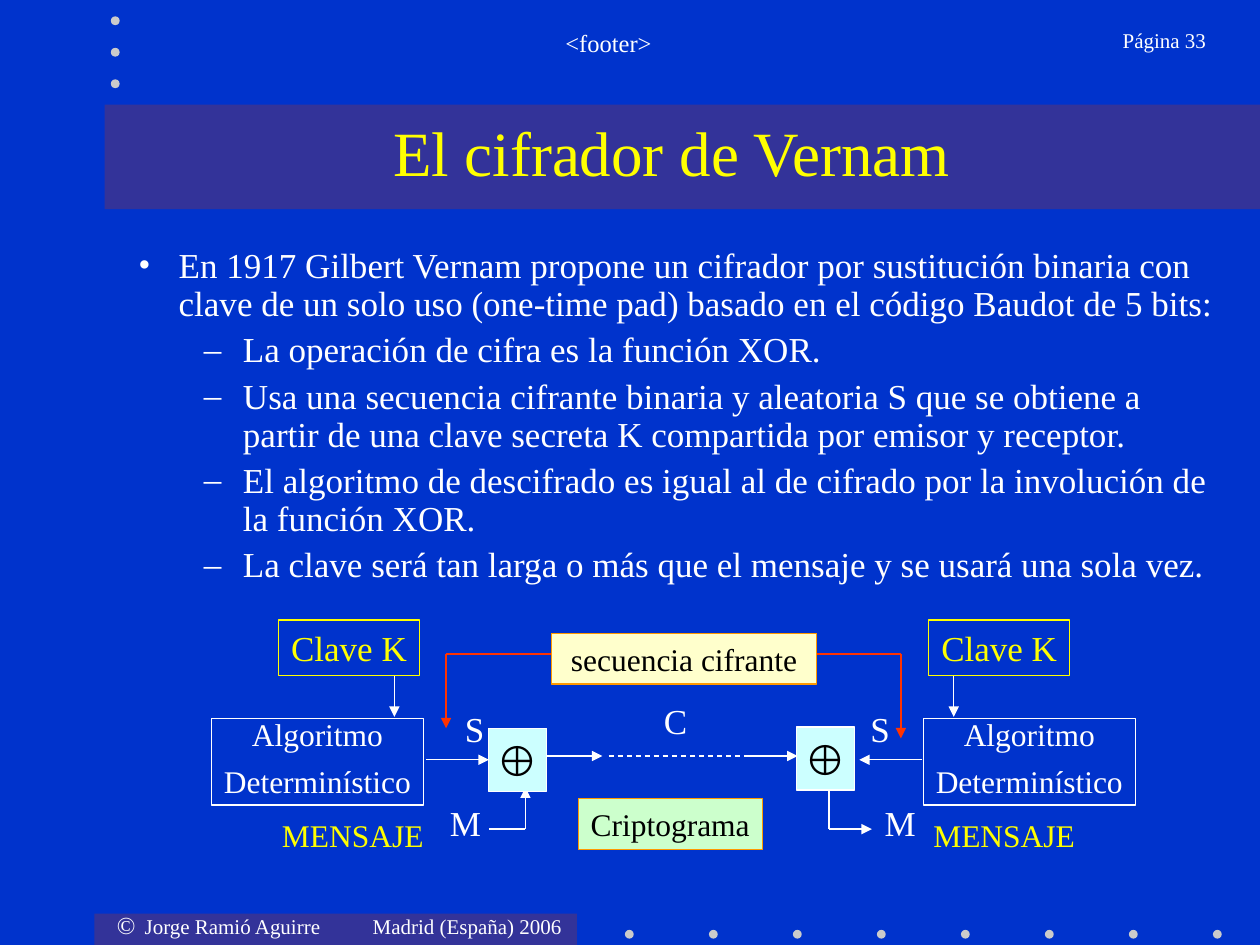
from dataclasses import dataclass

from lxml.etree import SubElement
from pptx import Presentation
from pptx.dml.color import RGBColor
from pptx.enum.dml import MSO_LINE
from pptx.enum.shapes import MSO_CONNECTOR, MSO_SHAPE
from pptx.enum.text import MSO_ANCHOR, PP_ALIGN
from pptx.oxml.ns import qn
from pptx.util import Inches, Pt


@dataclass(frozen=True)
class Theme:
    """Colours, fonts and type sizes of the slide."""
    back: str = "0033CC"
    band: str = "333399"
    dot: str = "CBCBCB"
    white: str = "FFFFFF"
    black: str = "000000"
    yellow: str = "FFFF00"
    orange: str = "FF9900"
    red: str = "FF3300"
    cream: str = "FFFFCC"
    mint: str = "CCFFCC"
    ice: str = "CCFFFF"
    serif: str = "Times New Roman"
    sans: str = "Arial"
    title: int = 36
    sign: int = 24
    body: int = 20
    label: int = 18
    foot: int = 14
    small: int = 12
    line: float = 0.75


THEME = Theme()
WIDE, HIGH = Inches(10), Inches(7.5)
COLS, ROWS = 100, 75

LEAD = ("En 1917 Gilbert Vernam propone un cifrador por sustitución binaria con "
        "clave de un solo uso (one-time pad) basado en el código Baudot de 5 bits:")
POINTS = [
    "La operación de cifra es la función XOR.",
    "Usa una secuencia cifrante binaria y aleatoria S que se obtiene a "
    "partir de una clave secreta K compartida por emisor y receptor.",
    "El algoritmo de descifrado es igual al de cifrado por la involución de la función XOR.",
    "La clave será tan larga o más que el mensaje y se usará una sola vez.",
]


def col(n):
    """Return the length of n grid columns."""
    return round(WIDE * n / COLS)


def row(n):
    """Return the length of n grid rows."""
    return round(HIGH * n / ROWS)


def area(x, y, w, h):
    """Return a grid area as slide lengths."""
    return col(x), row(y), col(w), row(h)


def paint(part, color):
    """Give a fill or a line one solid colour."""
    fill = getattr(part, "fill", part)
    fill.solid()
    fill.fore_color.rgb = RGBColor.from_string(color)


def write(frame, text, size=THEME.body, color=THEME.white, font=THEME.serif,
          align=PP_ALIGN.CENTER, anchor=MSO_ANCHOR.MIDDLE, wrap=False,
          lead=None, gap=0):
    """Write lines of text into a frame and return its paragraphs."""
    frame.word_wrap, frame.vertical_anchor = wrap, anchor
    for n, line in enumerate(text.split("\n")):
        para = frame.add_paragraph() if n else frame.paragraphs[0]
        para.alignment = align
        para.space_before = Pt(gap if n else 0)
        if lead:
            para.line_spacing = lead
        run = para.add_run()
        run.text = line
        run.font.size, run.font.name = Pt(size), font
        run.font.color.rgb = RGBColor.from_string(color)
    return frame.paragraphs


def note(slide, spot, text, **form):
    """Add a text box."""
    return write(slide.shapes.add_textbox(*area(*spot)).text_frame, text, **form)


def block(slide, spot, fill=None, edge=None, kind=MSO_SHAPE.RECTANGLE, text=None, **form):
    """Add a preset shape, with text if given."""
    shape = slide.shapes.add_shape(kind, *area(*spot))
    shape.shadow.inherit = False
    if fill:
        paint(shape, fill)
    else:
        shape.fill.background()
    if edge:
        paint(shape.line, edge)
        shape.line.width = Pt(THEME.line)
    else:
        shape.line.fill.background()
    if text:
        write(shape.text_frame, text, **form)


def wire(slide, *stops, color=THEME.white, arrow=True, dash=False):
    """Join grid points with straight lines, the last with an arrowhead."""
    for start, end in zip(stops, stops[1:]):
        line = slide.shapes.add_connector(
            MSO_CONNECTOR.STRAIGHT, col(start[0]), row(start[1]), col(end[0]), row(end[1]))
        paint(line.line, color)
        line.line.width = Pt(THEME.line)
        if dash:
            line.line.dash_style = MSO_LINE.DASH
        if arrow and end == stops[-1]:
            SubElement(line.line._get_or_add_ln(), qn("a:tailEnd"), type="triangle")
        SubElement(line._element.spPr, qn("a:effectLst"))


def mark(para, char, left, hang):
    """Give a paragraph a bullet and a hanging indent."""
    props = para._p.get_or_add_pPr()
    props.set("marL", str(col(left)))
    props.set("indent", str(-col(hang)))
    SubElement(props, qn("a:buFont"), typeface=THEME.serif)
    SubElement(props, qn("a:buChar"), char=char)


def frame(slide):
    """Draw the bands, the dots and the page texts."""
    paint(slide.background, THEME.back)
    for spot in ((7.5, 72.5, 38.3, 2.5), (8.3, 8.3, 91.7, 8.3)):
        block(slide, spot, THEME.band)
    dots = [(49.6 + n * 20 / 3, 73.8) for n in range(8)]
    dots += [(8.8, 1.3 + n * 2.5) for n in range(3)]
    for x, y in dots:
        block(slide, (x, y, 0.7, 0.7), THEME.dot, kind=MSO_SHAPE.OVAL)
    top = dict(anchor=MSO_ANCHOR.TOP, wrap=True)
    note(slide, (15.8, 1.7, 65, 5), "<footer>", size=THEME.foot, **top)
    note(slide, (83, 1.7, 13.7, 5), "Página 33", size=THEME.small,
         align=PP_ALIGN.RIGHT, **top)
    para = note(slide, (8.3, 71.7, 37.4, 3.3), "©", size=THEME.foot,
                align=PP_ALIGN.LEFT, **top)[0]
    tabs = SubElement(para._p.get_or_add_pPr(), qn("a:tabLst"))
    for stop in (2.2, 20.3):
        SubElement(tabs, qn("a:tab"), pos=str(col(stop)), algn="l")
    run = para.add_run()
    run.text = "\tJorge Ramió Aguirre\tMadrid (España) 2006"
    run.font.size, run.font.name = Pt(THEME.small), THEME.serif
    run.font.color.rgb = RGBColor.from_string(THEME.white)


def prose(slide):
    """Fill the title and the bullet list."""
    title = slide.shapes.title
    title.left, title.top, title.width, title.height = area(8.3, 8.3, 90, 7.5)
    write(title.text_frame, "El cifrador de Vernam", size=THEME.title,
          color=THEME.yellow, wrap=True)
    first, *rest = note(slide, (10, 19.2, 87.5, 29.2), "\n".join([LEAD, *POINTS]),
                        align=PP_ALIGN.LEFT, anchor=MSO_ANCHOR.TOP, wrap=True,
                        lead=0.9, gap=5)
    mark(first, "•", 3.2, 3.2)
    for para in rest:
        para.level = 1
        mark(para, "–", 8.3, 3.1)


def scheme(slide):
    """Draw the sender, the channel and the receiver."""
    wire(slide, (43.3, 60), (47.8, 60))
    wire(slide, (48.3, 60), (59.2, 60), arrow=False, dash=True)
    wire(slide, (59.2, 60), (63.3, 60))
    wire(slide, (38.8, 65.8), (41.7, 65.8), (41.7, 62.5))
    wire(slide, (65.8, 62.5), (65.8, 65.8), (69.2, 65.8))
    wire(slide, (33.8, 60.3), (38.8, 60.3))
    wire(slide, (73.2, 60.3), (68.2, 60.3))
    wire(slide, (43.8, 51.9), (35.4, 51.9), (35.4, 57.8), color=THEME.red)
    wire(slide, (64.8, 51.9), (71.5, 51.9), (71.5, 58.6), color=THEME.red)
    sides = ((22.1, 31.3, 16.8, 38.8, 57.8, 35.9, 34.7, 20.5),
             (73.7, 75.7, 73.3, 63.2, 57.7, 68.1, 69.2, 72.2))
    for key, drop, algo, gate, top, flow, text, name in sides:
        wire(slide, (drop, 53.6), (drop, 56.9))
        block(slide, (key, 49.2, 11.2, 4.4), edge=THEME.yellow, text="Clave K",
              color=THEME.yellow)
        block(slide, (algo, 57, 16.8, 6.9), edge=THEME.white,
              text="Algoritmo\nDeterminístico", size=THEME.label, lead=0.72, gap=11.2)
        block(slide, (gate, top, 4.6, 5), THEME.ice, THEME.white, text="⊕",
              size=THEME.sign, color=THEME.black, font=THEME.sans)
        note(slide, (flow, 55.6, 3.5, 4.4), "S")
        note(slide, (text, 63.1, 4.5, 4.4), "M")
        note(slide, (name, 64.3, 15, 4), "MENSAJE", size=THEME.label, color=THEME.yellow)
    note(slide, (51.7, 55, 3.8, 4.4), "C")
    for spot, fill, text in (((43.8, 50.3, 21, 4), THEME.cream, "secuencia cifrante"),
                             ((45.9, 63.4, 14.6, 4), THEME.mint, "Criptograma")):
        block(slide, spot, fill, THEME.orange, text=text, size=THEME.label,
              color=THEME.black)


def main():
    """Build and save the slide."""
    deck = Presentation()
    deck.slide_width, deck.slide_height = WIDE, HIGH
    slide = deck.slides.add_slide(deck.slide_layouts[5])
    title = slide.shapes.title._element
    frame(slide)
    slide.shapes._spTree.append(title)
    prose(slide)
    scheme(slide)
    deck.save("out.pptx")


if __name__ == "__main__":
    main()
